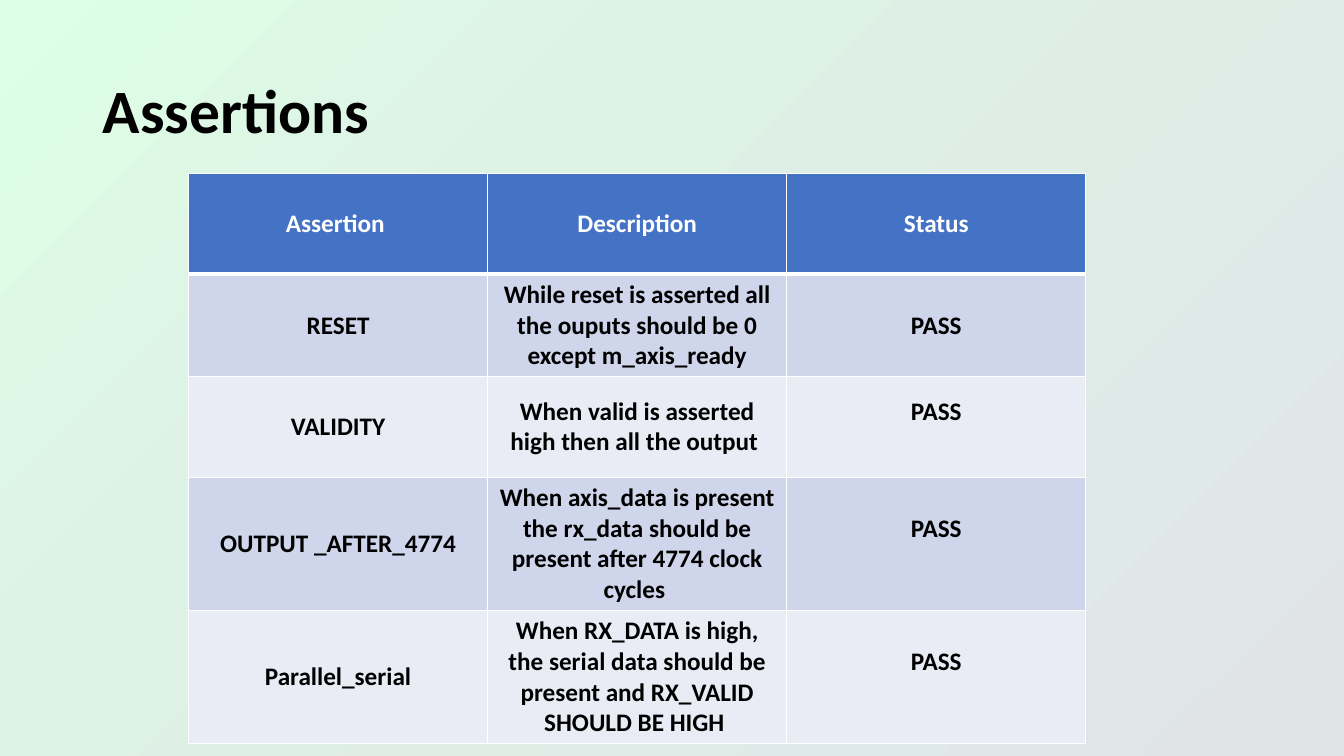
import copy
from dataclasses import dataclass

import lxml.etree
import pptx
import pptx.dml.color
import pptx.enum.text
import pptx.oxml.ns
import pptx.util

Inches = pptx.util.Inches
Pt = pptx.util.Pt
RGBColor = pptx.dml.color.RGBColor
PP_ALIGN = pptx.enum.text.PP_ALIGN
MIDDLE = pptx.enum.text.MSO_ANCHOR.MIDDLE
qn = pptx.oxml.ns.qn


@dataclass(frozen=True)
class Theme:
    font: str = "Calibri"
    title_size: int = 44
    table_size: int = 18
    ink: str = "000000"
    white: str = "FFFFFF"
    header: str = "4472C4"
    bands: tuple = ("CFD5EA", "E9EBF5")
    backdrop: tuple = ((0, "E0E4E7"), (0.67, "DEF2E6"), (1, "DCFFE5"))
    backdrop_angle: int = 135
    thin: int = 1
    thick: int = 3


THEME = Theme()

HEADINGS = ("Assertion ", "Description", "Status")
ASSERTIONS = (
    ("RESET", "While reset is asserted all the ouputs should be 0 except m_axis_ready", "PASS"),
    ("VALIDITY", "When valid is asserted high then all the output ", "PASS"),
    ("OUTPUT _AFTER_4774",
     "When axis_data is present the rx_data should be present after 4774 clock cycles ", "PASS"),
    ("Parallel_serial",
     "When RX_DATA is high, the serial data should be present and RX_VALID SHOULD BE HIGH ", "PASS"),
)
RAISED_STATUS_MARGIN = 0.35


def write(frame, text, *, size, color, align=PP_ALIGN.LEFT, line_spacing=None):
    paragraph = frame.paragraphs[0]
    paragraph.alignment = align
    paragraph.line_spacing = line_spacing
    run = paragraph.add_run()
    run.text = text
    run.font.name = THEME.font
    run.font.size = Pt(size)
    run.font.bold = True
    run.font.color.rgb = RGBColor.from_string(color)


def paint_backdrop(slide):
    fill = slide.background.fill
    fill.gradient()
    fill.gradient_angle = THEME.backdrop_angle
    stop_list = slide.element.find(".//" + qn("a:gsLst"))
    stop_list.insert(1, copy.deepcopy(stop_list[0]))
    for stop, (position, color) in zip(fill.gradient_stops, THEME.backdrop):
        stop.position = position
        stop.color.rgb = RGBColor.from_string(color)


def place_title(slide, text, left, top, width, height):
    title = slide.shapes.title
    title.left, title.top = Inches(left), Inches(top)
    title.width, title.height = Inches(width), Inches(height)
    title.text_frame.vertical_anchor = MIDDLE
    title.text_frame.word_wrap = True
    write(title.text_frame, text, size=THEME.title_size, color=THEME.ink, line_spacing=0.9)


def border_cell(cell, **widths):
    properties = cell._tc.get_or_add_tcPr()
    for index, (side, width) in enumerate(widths.items()):
        line = lxml.etree.Element(qn("a:" + side), w=str(Pt(width)))
        solid = lxml.etree.SubElement(line, qn("a:solidFill"))
        lxml.etree.SubElement(solid, qn("a:srgbClr"), val=THEME.white)
        properties.insert(index, line)


def place_assertions(slide, left, top, width, height):
    rows = (HEADINGS, *ASSERTIONS)
    table = slide.shapes.add_table(
        len(rows), len(HEADINGS), Inches(left), Inches(top), Inches(width), Inches(height)
    ).table
    for column in table.columns:
        column.width = Inches(width / len(HEADINGS))
    for row in table.rows:
        row.height = Inches(height / len(rows))
    for row_index, texts in enumerate(rows):
        is_header = row_index == 0
        fill = THEME.header if is_header else THEME.bands[(row_index - 1) % 2]
        for column_index, text in enumerate(texts):
            cell = table.cell(row_index, column_index)
            cell.vertical_anchor = MIDDLE
            cell.fill.solid()
            cell.fill.fore_color.rgb = RGBColor.from_string(fill)
            write(cell.text_frame, text, size=THEME.table_size, align=PP_ALIGN.CENTER,
                  color=THEME.white if is_header else THEME.ink)
            if row_index > 1 and HEADINGS[column_index] == "Status":
                cell.margin_bottom = Inches(RAISED_STATUS_MARGIN)
            border_cell(cell, lnL=THEME.thin, lnR=THEME.thin,
                        lnT=THEME.thick if row_index == 1 else THEME.thin,
                        lnB=THEME.thick if is_header else THEME.thin)


def build_assertions_slide(deck):
    slide = deck.slides.add_slide(deck.slide_layouts[5])
    paint_backdrop(slide)
    place_title(slide, "Assertions", 0.92, 0.4, 11.5, 1.45)
    place_assertions(slide, 1.87, 1.72, 8.9, 5)


def main():
    deck = pptx.Presentation()
    deck.slide_width, deck.slide_height = Inches(13.33), Inches(7.5)
    build_assertions_slide(deck)
    deck.save("out.pptx")


if __name__ == "__main__":
    main()
